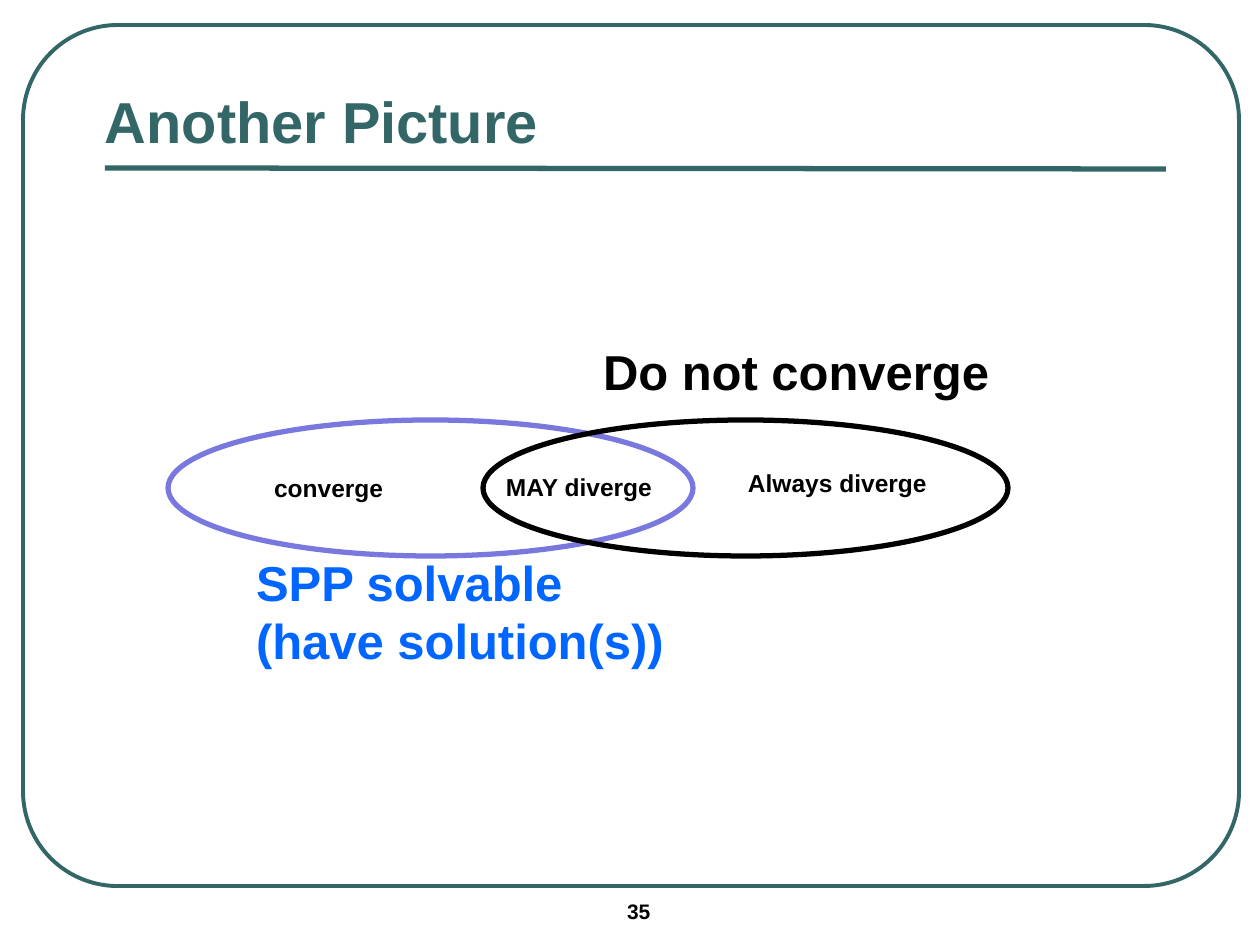
from lxml import etree
from pptx import Presentation
from pptx.dml.color import RGBColor
from pptx.enum.shapes import MSO_CONNECTOR, MSO_SHAPE
from pptx.enum.text import MSO_ANCHOR, MSO_AUTO_SIZE
from pptx.oxml.ns import qn
from pptx.util import Pt

LINE = MSO_CONNECTOR.STRAIGHT
OVAL, ROUND_RECT = MSO_SHAPE.OVAL, MSO_SHAPE.ROUNDED_RECTANGLE
TOP, MIDDLE = MSO_ANCHOR.TOP, MSO_ANCHOR.MIDDLE
GROW, FIXED = MSO_AUTO_SIZE.SHAPE_TO_FIT_TEXT, MSO_AUTO_SIZE.NONE
PX_PER_INCH = 126
COLORS = {"teal": "336666", "violet": "7878DE", "blue": "0066FF", "black": "000000"}


def px(n):
    return round(n * 914400 / PX_PER_INCH)


def rgb(name):
    return RGBColor.from_string(COLORS[name])


def add_text(s, box, text, size, color, wrap=False, anchor=TOP,
             fit=GROW, inset=(12, 6), spacing=1.0):
    sp = s.shapes.add_textbox(*map(px, box))
    tf = sp.text_frame
    tf.word_wrap = wrap
    tf.auto_size = fit
    tf.vertical_anchor = anchor
    tf.margin_left = tf.margin_right = px(inset[0])
    tf.margin_top = tf.margin_bottom = px(inset[1])
    tf.text = text
    for p in tf.paragraphs:
        p.line_spacing = spacing
        for r in p.runs:
            r.font.name = "Arial"
            r.font.size = Pt(size)
            r.font.bold = True
            r.font.color.rgb = rgb(color)


def add_outline(s, kind, box, color, width):
    sp = s.shapes.add_shape(kind, *map(px, box))
    sp.shadow.inherit = False
    sp.fill.background()
    sp.line.color.rgb = rgb(color)
    sp.line.width = Pt(width)
    return sp


def add_frame(s, box):
    """Rounded border with the page number just below it."""
    x, y, w, h = box
    add_text(s, (x + 592, y + h + 9, 147, 37), "35", 12, "black",
             wrap=True, spacing=0.93)
    add_outline(s, ROUND_RECT, box, "teal", 2.25).adjustments[0] = 0.11


def add_title(s, box):
    """Heading with a rule under it."""
    x, y, w, h = box
    rule_y = y + h + 1
    rule = s.shapes.add_connector(LINE, *map(px, (x, rule_y, x + w, rule_y + 1)))
    rule.line.color.rgb = rgb("teal")
    rule.line.width = Pt(3)
    etree.SubElement(rule._element.spPr, qn("a:effectLst"))
    add_text(s, box, "Another Picture", 33, "teal",
             wrap=True, anchor=MIDDLE, fit=FIXED, inset=(0, 0))


def add_venn(s, box):
    """Two overlapping ellipses with their labels."""
    x, y, w, h = box
    oval_w, oval_h = 525, 136
    for dx, color in ((0, "violet"), (w - oval_w, "black")):
        add_outline(s, OVAL, (x + dx, y + 84, oval_w, oval_h), color, 3)
    labels = [
        (76, 210, 432, 131, "SPP solvable\n(have solution(s))", 28, "blue"),
        (94, 131, 134, 43, "converge", 14, "black"),
        (568, 126, 204, 43, "Always diverge", 14, "black"),
        (326, 130, 174, 43, "MAY diverge", 14, "black"),
        (423, 0, 411, 72, "Do not converge", 28, "black"),
    ]
    for dx, dy, tw, th, text, size, color in labels:
        add_text(s, (x + dx, y + dy, tw, th), text, size, color)


def main():
    prs = Presentation()
    prs.slide_width, prs.slide_height = px(1260), px(945)
    s = prs.slides.add_slide(prs.slide_layouts[6])
    add_frame(s, (23, 25, 1216, 861))
    add_title(s, (105, 74, 1061, 93))
    add_venn(s, (168, 336, 840, 341))
    prs.save("out.pptx")


if __name__ == "__main__":
    main()
